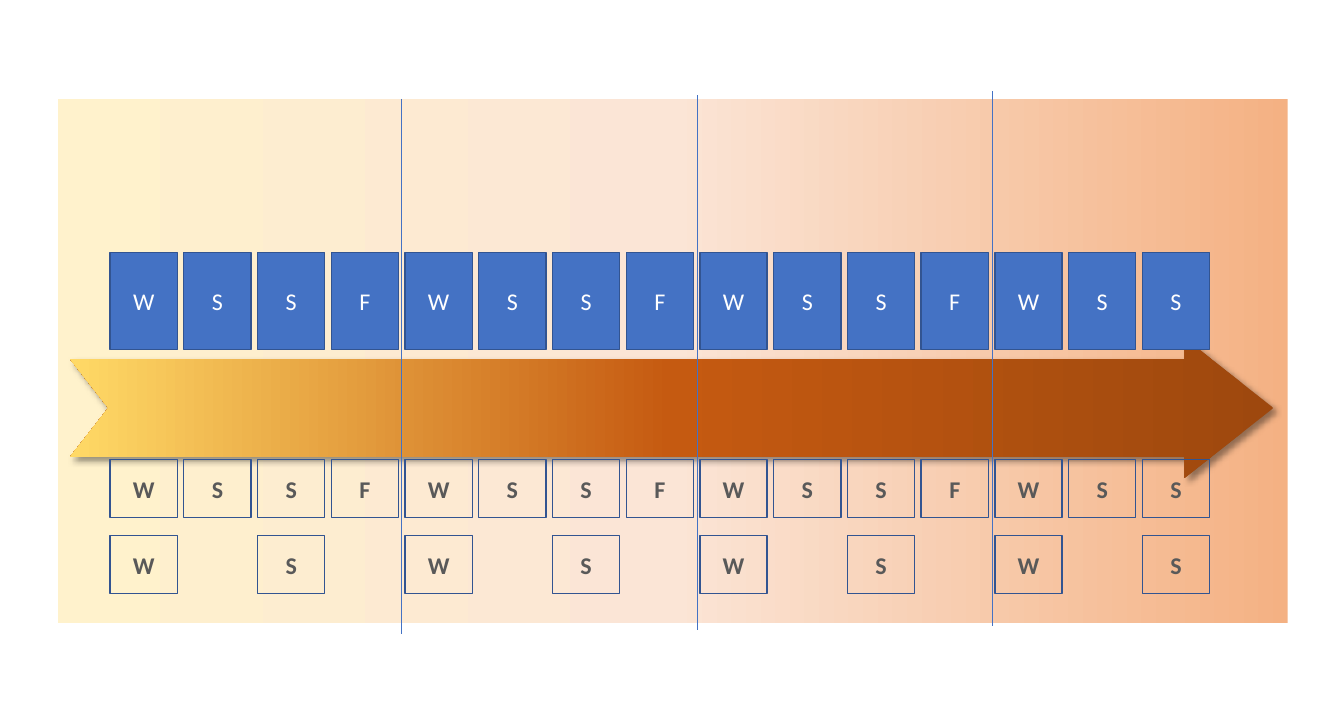
import pptx
import pptx.dml.color
import pptx.enum.shapes
import pptx.enum.text
import pptx.oxml
import pptx.oxml.ns
import pptx.util

Pt = pptx.util.Pt
RGBColor = pptx.dml.color.RGBColor
RECTANGLE = pptx.enum.shapes.MSO_SHAPE.RECTANGLE
STRAIGHT = pptx.enum.shapes.MSO_CONNECTOR.STRAIGHT

COLORS = {
    "box": "4472C4",
    "box_line": "325491",
    "white": "FFFFFF",
    "gray": "595959",
    "shadow": "000000",
}
PANEL_GRADIENT = {0: "F4B183", 50: "FBE5D6", 100: "FFF2CC"}
ARROW_GRADIENT = {0: "9E480E", 50: "C55A11", 100: "FFD966"}

SEASONS = "WSSFWSSFWSSFWSS"
BOX_LEFT, BOX_PITCH, BOX_WIDTH = 82.6, 55.3, 50.4
FILLED_ROW = {
    "top": 189.2, "height": 72.7, "fill": "box",
    "font": {"size": Pt(18), "name": "Calibri", "bold": False},
    "text": "white", "step": 1,
}
OUTLINED_ROW = {
    "top": 344.9, "height": 43.2, "fill": None,
    "font": {"size": Pt(18), "name": "Calibri", "bold": True},
    "text": "gray", "step": 1,
}
SPARSE_ROW = {**OUTLINED_ROW, "top": 401.8, "step": 2}


def rgb(name):
    return RGBColor.from_string(COLORS[name])


def set_attributes(target, values):
    for name, value in values.items():
        setattr(target, name, value)


def drawing_element(tag, content=""):
    namespace = pptx.oxml.ns.nsdecls("a")
    return pptx.oxml.parse_xml(f"<a:{tag} {namespace}>{content}</a:{tag}>")


def fill_gradient(shape, stops):
    shape.fill.gradient()
    shape.fill.gradient_angle = 180
    old_stops = shape._element.spPr.find(".//" + pptx.oxml.ns.qn("a:gsLst"))
    content = "".join(
        f'<a:gs pos="{position * 1000}"><a:srgbClr val="{color}"/></a:gs>'
        for position, color in stops.items()
    )
    old_stops.getparent().replace(old_stops, drawing_element("gsLst", content))
    shape.line.fill.background()


def add_panel(slide):
    panel = slide.shapes.add_shape(RECTANGLE, Pt(43.4), Pt(74.2), Pt(922.3), Pt(393.1))
    panel.shadow.inherit = False
    fill_gradient(panel, PANEL_GRADIENT)


def add_arrow(slide):
    left, notch, neck, tip = 52.6, 81.3, 888.3, 955.1
    middle, half_shaft, half_head = 306, 36.7, 52.6
    points = [
        (neck, middle - half_head), (tip, middle), (neck, middle + half_head),
        (neck, middle + half_shaft), (left, middle + half_shaft),
        (notch, middle), (left, middle - half_shaft), (neck, middle - half_shaft),
    ]
    corners = [(Pt(x), Pt(y)) for x, y in points]
    builder = slide.shapes.build_freeform(*corners[0])
    builder.add_line_segments(corners[1:], close=True)
    arrow = builder.convert_to_shape()
    fill_gradient(arrow, ARROW_GRADIENT)
    arrow.shadow.inherit = False
    effects = arrow._element.spPr.find(pptx.oxml.ns.qn("a:effectLst"))
    shadow = drawing_element(
        "outerShdw",
        f'<a:srgbClr val="{COLORS["shadow"]}"><a:alpha val="40000"/></a:srgbClr>',
    )
    distances = {"blurRad": Pt(4), "dist": Pt(3), "dir": 45 * 60000}
    for name, value in distances.items():
        shadow.set(name, str(int(value)))
    effects.append(shadow)


def add_box(slide, column, letter, row):
    box = slide.shapes.add_shape(
        RECTANGLE, Pt(BOX_LEFT + column * BOX_PITCH), Pt(row["top"]),
        Pt(BOX_WIDTH), Pt(row["height"]),
    )
    box.shadow.inherit = False
    if row["fill"]:
        box.fill.solid()
        box.fill.fore_color.rgb = rgb(row["fill"])
    else:
        box.fill.background()
    box.line.color.rgb = rgb("box_line")
    box.line.width = Pt(1)
    box.text_frame.vertical_anchor = pptx.enum.text.MSO_ANCHOR.MIDDLE
    paragraph = box.text_frame.paragraphs[0]
    paragraph.alignment = pptx.enum.text.PP_ALIGN.CENTER
    run = paragraph.add_run()
    run.text = letter
    set_attributes(run.font, row["font"])
    run.font.color.rgb = rgb(row["text"])


def add_row(slide, row):
    for column in range(0, len(SEASONS), row["step"]):
        add_box(slide, column, SEASONS[column], row)


def add_year_line(slide, index):
    x = Pt(301 + index * 221.76)
    top = 74.2 - index * 2.9
    line = slide.shapes.add_connector(STRAIGHT, x, Pt(top), x, Pt(top + 401))
    line.line.color.rgb = rgb("box")
    line.line.width = Pt(0.5)
    line._element.spPr.append(drawing_element("effectLst"))


def main():
    presentation = pptx.Presentation()
    set_attributes(presentation, {"slide_width": Pt(1008), "slide_height": Pt(540)})
    slide = presentation.slides.add_slide(presentation.slide_layouts[6])
    add_panel(slide)
    add_arrow(slide)
    add_row(slide, FILLED_ROW)
    for index in range(3):
        add_year_line(slide, index)
    for row in (OUTLINED_ROW, SPARSE_ROW):
        add_row(slide, row)
    presentation.save("out.pptx")


if __name__ == "__main__":
    main()
